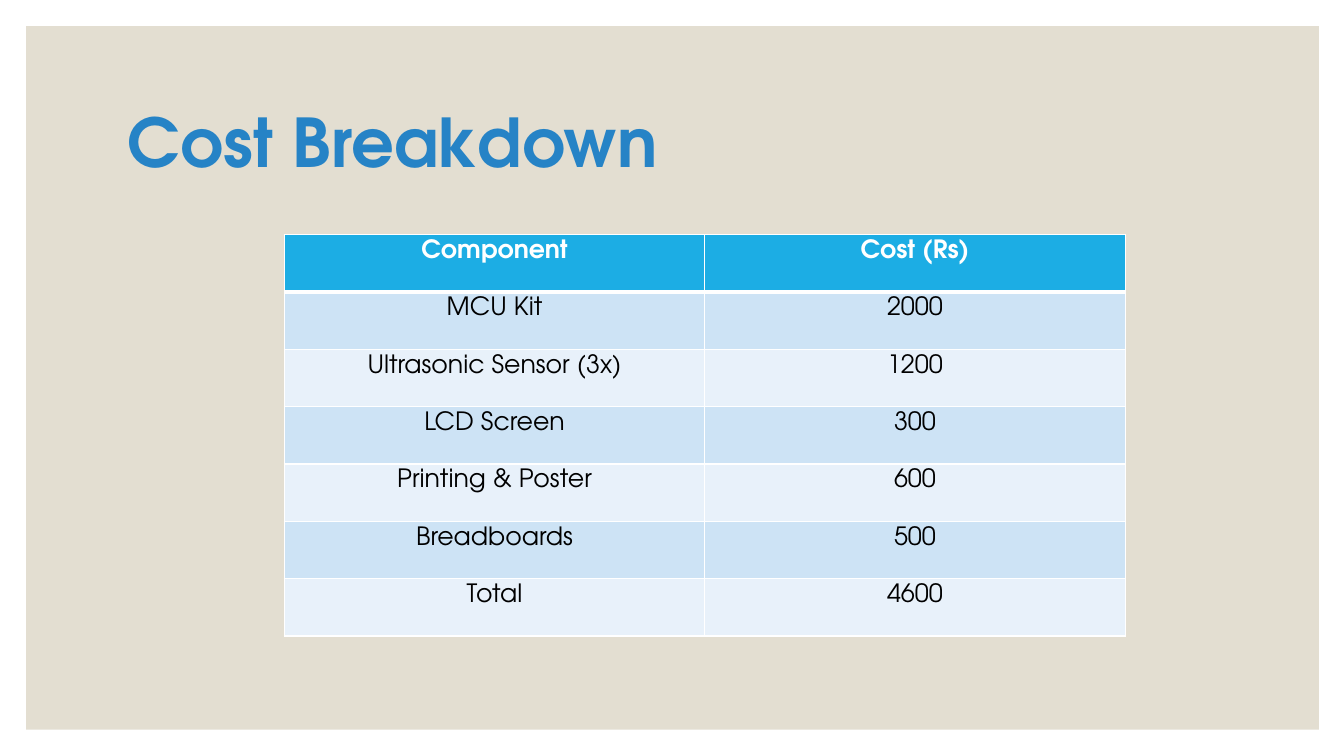
from dataclasses import dataclass

from lxml import etree
from pptx import Presentation
from pptx.dml.color import RGBColor
from pptx.enum import shapes, text
from pptx.oxml import ns
from pptx.util import Inches, Pt


@dataclass(frozen=True)
class Theme:
    face: str = "TeX Gyre Adventor"
    panel: str = "E3DED1"
    title: str = "2683C6"
    head: str = "1CADE4"
    bands: tuple = ("CDE3F5", "E8F1FA")
    white: str = "FFFFFF"
    black: str = "000000"
    big: int = 48
    body: int = 18
    thin: int = 1
    thick: int = 3


THEME = Theme()
COSTS = [
    ("Component", "Cost (Rs)"),
    ("MCU Kit", "2000"),
    ("Ultrasonic Sensor (3x)", "1200"),
    ("LCD Screen", "300"),
    ("Printing & Poster", "600"),
    ("Breadboards", "500"),
    ("Total", "4600"),
]


def paint(fill, color):
    fill.solid()
    fill.fore_color.rgb = RGBColor.from_string(color)


def style(para, size, color, bold):
    for run in para.runs:
        font = run.font
        font.name, font.size, font.bold = THEME.face, Pt(size), bold
        font.color.rgb = RGBColor.from_string(color)


def add_panel(slide):
    panel = slide.shapes.add_shape(
        shapes.MSO_SHAPE.RECTANGLE,
        Inches(0.26), Inches(0.26), Inches(12.82), Inches(6.98))
    panel.shadow.inherit = False
    paint(panel.fill, THEME.panel)
    panel.line.fill.background()


def add_title(slide, words):
    box = slide.shapes.add_textbox(
        Inches(1.17), Inches(0.7), Inches(11), Inches(1.5))
    frame = box.text_frame
    frame.word_wrap = True
    frame.vertical_anchor = text.MSO_ANCHOR.MIDDLE
    frame.text = words
    para = frame.paragraphs[0]
    para.line_spacing = 0.9
    style(para, THEME.big, THEME.title, True)


def add_edges(cell, top, bottom):
    props = cell._tc.get_or_add_tcPr()
    sides = {"L": THEME.thin, "R": THEME.thin, "T": top, "B": bottom}
    for side, width in sides.items():
        edge = etree.SubElement(props, ns.qn(f"a:ln{side}"), w=str(Pt(width)))
        fill = etree.SubElement(edge, ns.qn("a:solidFill"))
        etree.SubElement(fill, ns.qn("a:srgbClr"), val=THEME.white)


def fill_cell(cell, words, row):
    head = row == 0
    # The thick rule lies between the header and the first row
    add_edges(cell,
              THEME.thick if row == 1 else THEME.thin,
              THEME.thick if head else THEME.thin)
    paint(cell.fill, THEME.head if head else THEME.bands[(row - 1) % 2])
    cell.text = words
    para = cell.text_frame.paragraphs[0]
    para.alignment = text.PP_ALIGN.CENTER
    style(para, THEME.body, THEME.white if head else THEME.black, head)


def add_costs(slide, rows):
    table = slide.shapes.add_table(
        len(rows), len(rows[0]),
        Inches(2.82), Inches(2.33), Inches(8.34), Inches(3.98)).table
    for r, row in enumerate(rows):
        for c, words in enumerate(row):
            fill_cell(table.cell(r, c), words, r)


def main():
    deck = Presentation()
    deck.slide_width, deck.slide_height = Inches(13.33), Inches(7.5)
    slide = deck.slides.add_slide(deck.slide_layouts[6])

    # Backdrop
    paint(slide.background.fill, THEME.white)
    add_panel(slide)

    # Content
    add_title(slide, "Cost Breakdown")
    add_costs(slide, COSTS)
    deck.save("out.pptx")


if __name__ == "__main__":
    main()
